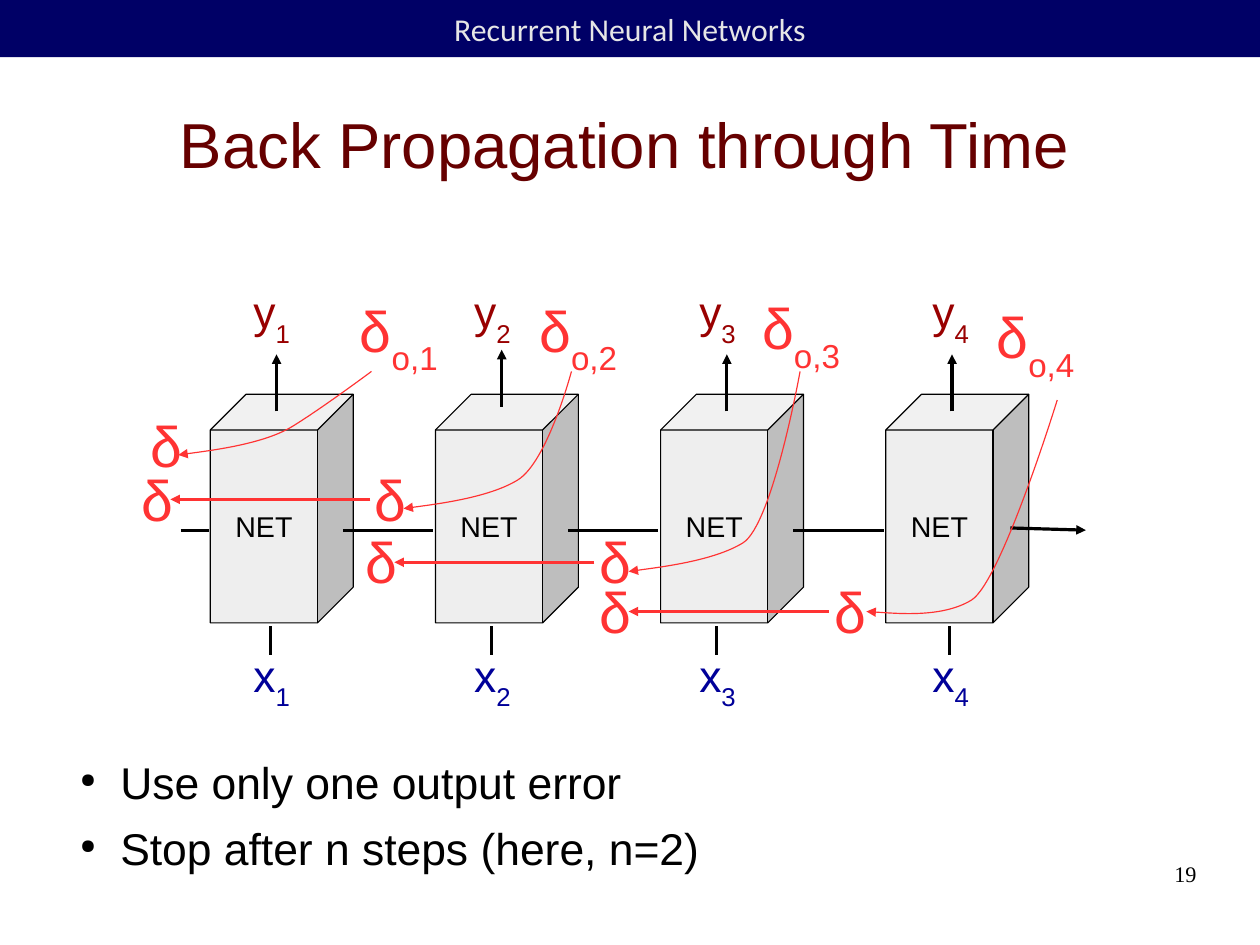
from lxml.etree import SubElement
from pptx import Presentation
from pptx.dml.color import RGBColor
from pptx.enum.shapes import MSO_CONNECTOR, MSO_SHAPE
from pptx.enum.text import MSO_ANCHOR, MSO_AUTO_SIZE, PP_ALIGN
from pptx.oxml.ns import qn
from pptx.util import Pt

BLACK = RGBColor(0x00, 0x00, 0x00)
NAVY = RGBColor(0x00, 0x00, 0x66)
PALE = RGBColor(0xE6, 0xE6, 0xE6)
MAROON = RGBColor(0x66, 0x00, 0x00)
CUBE_GRAY = RGBColor(0xEE, 0xEE, 0xEE)
INPUT_BLUE = RGBColor(0x00, 0x00, 0x99)
OUTPUT_RED = RGBColor(0x99, 0x00, 0x00)
ERROR_RED = RGBColor(0xFF, 0x33, 0x33)
STEP = 141.84

deck = Presentation()
deck.slide_width, deck.slide_height = Pt(793.7), Pt(595.3)
page = deck.slides.add_slide(deck.slide_layouts[6])
shapes = page.shapes


def add_label(left, top, width, height, size, color, text, subscript=""):
    box = shapes.add_textbox(Pt(left), Pt(top), Pt(width), Pt(height))
    frame = box.text_frame
    frame.word_wrap = False
    frame.auto_size = MSO_AUTO_SIZE.SHAPE_TO_FIT_TEXT
    para = frame.paragraphs[0]
    para.font.name, para.font.size = "Arial", Pt(size)
    para.font.color.rgb = color
    para.add_run().text = text
    if subscript:
        span = para.add_run()
        span.text = subscript
        span.font._element.set("baseline", "-33000")


def style_stroke(shape, color, arrow):
    shape.line.color.rgb = color
    shape.line.width = Pt(0)
    properties = shape._element.spPr
    if arrow:
        SubElement(properties.find(qn("a:ln")), qn("a:tailEnd"), type="triangle")
    SubElement(properties, qn("a:effectLst"))


header = shapes.add_shape(MSO_SHAPE.RECTANGLE, 0, 0, deck.slide_width, Pt(36))
header.shadow.inherit = False
header.fill.solid()
header.fill.fore_color.rgb = NAVY
header.line.fill.background()
header.text_frame.text = "Recurrent Neural Networks"
para = header.text_frame.paragraphs[0]
para.alignment = PP_ALIGN.CENTER
para.font.name, para.font.size = "Calibri", Pt(20)
para.font.color.rgb = PALE

plain_texts = [
    (36, 44.6, 714.2, 91.4, MSO_ANCHOR.MIDDLE, PP_ALIGN.CENTER, "Arial", 40, MAROON,
     ["Back Propagation through Time"]),
    (41.8, 475.9, 714.2, 74, MSO_ANCHOR.TOP, PP_ALIGN.LEFT, "Arial", 28, BLACK,
     ["Use only one output error", "Stop after n steps (here, n=2)"]),
    (568.8, 542.2, 185, 41, MSO_ANCHOR.TOP, PP_ALIGN.RIGHT, "Times New Roman", 14, BLACK,
     ["19"]),
]
for left, top, width, height, anchor, align, font, size, color, texts in plain_texts:
    box = shapes.add_textbox(Pt(left), Pt(top), Pt(width), Pt(height))
    frame = box.text_frame
    frame.word_wrap = True
    frame.vertical_anchor = anchor
    frame.margin_left = frame.margin_right = frame.margin_top = frame.margin_bottom = 0
    frame.text = "\n".join(texts)
    for para in frame.paragraphs:
        para.alignment = align
        para.font.name, para.font.size = font, Pt(size)
        para.font.color.rgb = color
        if len(texts) > 1:
            para.space_after = Pt(7.8)
            settings = para._element.get_or_add_pPr()
            settings.set("marL", str(Pt(34)))
            settings.set("indent", str(-Pt(25.4)))
            bullet_size = SubElement(settings, qn("a:buSzPct"), val="45000")
            bullet = SubElement(settings, qn("a:buChar"), char="●")
            settings.remove(bullet_size)
            settings.remove(bullet)
            settings.find(qn("a:spcAft")).addnext(bullet_size)
            bullet_size.addnext(bullet)

for step in range(4):
    cube = shapes.add_shape(
        MSO_SHAPE.CUBE, Pt(132.48 + step * STEP), Pt(248.4), Pt(90), Pt(144))
    cube.shadow.inherit = False
    cube.adjustments[0] = 0.25
    cube.fill.solid()
    cube.fill.fore_color.rgb = CUBE_GRAY
    cube.line.color.rgb = BLACK
    cube.line.width = Pt(0)
    cube.text_frame.word_wrap = False
    cube.text_frame.text = "NET"
    para = cube.text_frame.paragraphs[0]
    para.alignment = PP_ALIGN.CENTER
    para.font.name, para.font.size = "Arial", Pt(18)
    para.font.color.rgb = BLACK

lines = [(113.8, 334, 131.8, 334, BLACK, False),
         (636.5, 332.6, 684, 334, BLACK, True)]
for gap in range(3):
    lines.append((216 + gap * STEP, 334, 272.9 + gap * STEP, 334, BLACK, False))

label_lefts = [152.6, 291.6, 433.4, 580.3]
output_bottoms = [259.2, 256.3, 259.2, 259.2]
for step, (left, bottom) in enumerate(zip(label_lefts, output_bottoms)):
    number = str(step + 1)
    add_label(left, 404.6, 37.4, 45.4, 28, INPUT_BLUE, "x", number)
    add_label(left, 175.7, 37.4, 45.4, 28, OUTPUT_RED, "y", number)
    arrow_x = 174.2 + step * STEP
    lines.append((left + 18, 412.6, left + 18, 394.6, BLACK, False))
    lines.append((arrow_x, bottom, arrow_x, bottom - 36, BLACK, True))

output_errors = [(219.6, 182.2), (332.6, 182.2), (473, 180.7), (620.6, 186.5)]
for number, (left, top) in enumerate(output_errors, 1):
    add_label(left, top, 63.4, 56.2, 36, ERROR_RED, "δ", f"o,{number}")

curve_errors = [(87.8, 254.9), (229, 288.7), (370.8, 328.3), (518.4, 359.3)]
carried_errors = [(82.1, 288.7), (223.2, 328.3), (370.8, 359.3)]
for left, top in curve_errors + carried_errors:
    add_label(left, top, 34.6, 47.5, 36, ERROR_RED, "δ")
for left, top in carried_errors:
    tip_x, tip_y = left + 25.2, top + 25.9
    lines.append((tip_x + 126, tip_y, tip_x, tip_y, ERROR_RED, True))

for x1, y1, x2, y2, color, arrow in lines:
    line = shapes.add_connector(MSO_CONNECTOR.STRAIGHT, Pt(x1), Pt(y1), Pt(x2), Pt(y2))
    style_stroke(line, color, arrow)

curves = [
    ((234, 234), (184.3, 268.6), (112.3, 286.6)),
    ((360, 234), (326.2, 302.4), (254.2, 320.4)),
    ((504, 234), (468, 342), (396, 360)),
    ((666, 252), (612, 378), (545.8, 385.2)),
]
for start, knee, end in curves:
    before = (knee[0] + 18.7, knee[1] - 11.5)
    after = (knee[0] - 18.7, knee[1] + 11.5)
    points = [(Pt(x), Pt(y)) for x, y in (start, before, knee, after, end, end)]
    builder = shapes.build_freeform(Pt(start[0]), Pt(start[1]))
    builder.add_line_segments(points, close=False)
    curve = builder.convert_to_shape()
    curve.fill.background()
    outline = next(curve._element.iter(qn("a:path")))
    segments = outline.findall(qn("a:lnTo"))
    for first in (0, 3):
        bezier = SubElement(outline, qn("a:cubicBezTo"))
        for segment in segments[first:first + 3]:
            bezier.append(segment[0])
            outline.remove(segment)
    style_stroke(curve, ERROR_RED, True)

deck.save("out.pptx")
